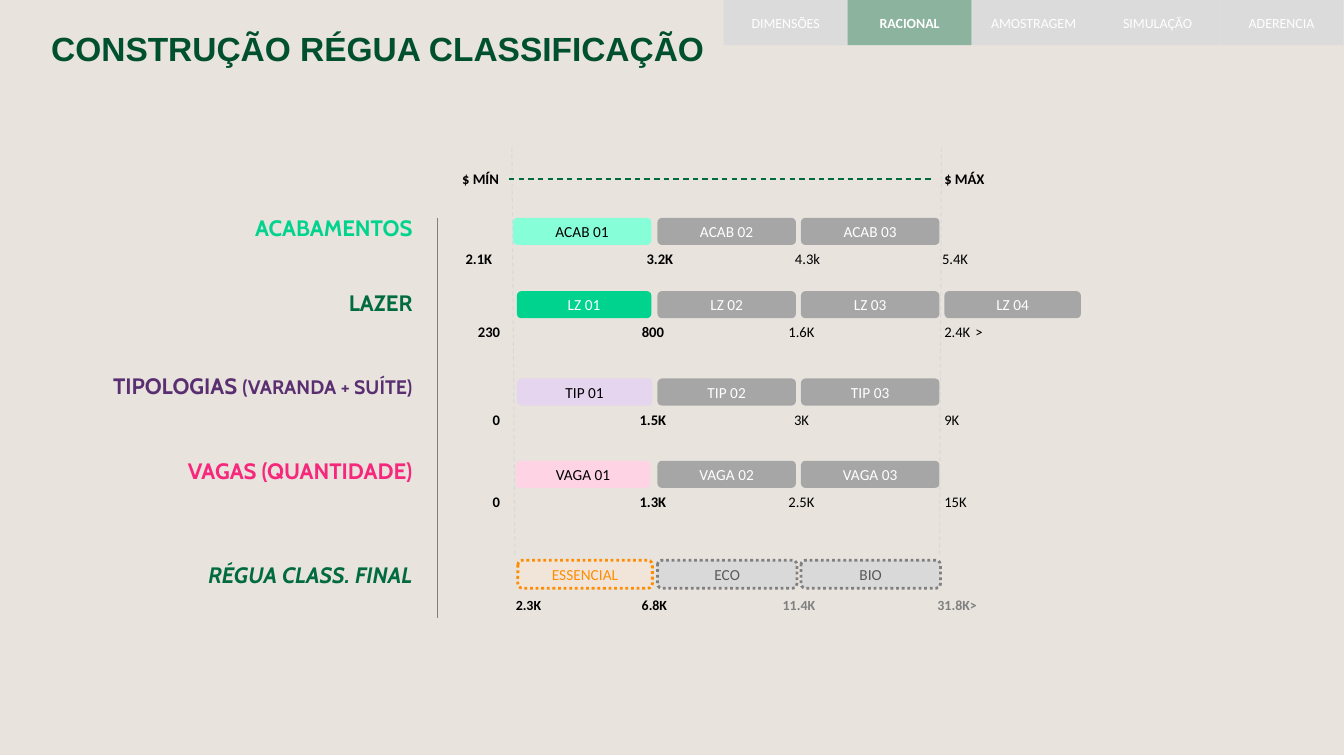
from dataclasses import dataclass
from lxml.etree import SubElement
from pptx import Presentation
from pptx.dml.color import RGBColor
from pptx.enum.dml import MSO_LINE
from pptx.enum.shapes import MSO_CONNECTOR, MSO_SHAPE
from pptx.enum.text import MSO_ANCHOR, MSO_AUTO_SIZE, PP_ALIGN
from pptx.oxml.ns import qn
from pptx.util import Inches, Pt


@dataclass(frozen=True)
class Theme:
    sand: str = "E8E3DD"
    pine: str = "00502F"
    green: str = "006B3F"
    mint: str = "00D38D"
    aqua: str = "86FFD8"
    plum: str = "592F71"
    lilac: str = "E6D5EE"
    pink: str = "F7287C"
    rose: str = "FED3E4"
    orange: str = "FF8D03"
    peach: str = "FFE8D3"
    black: str = "000000"
    white: str = "FFFFFF"
    stone: str = "A6A6A6"
    grey: str = "808080"
    dark: str = "595959"
    pale: str = "D9D9D9"
    tab: str = "DBDBDB"
    head: str = "Arial"
    label: str = "Cabin"
    body: str = "Calibri"
    title: float = 24
    large: float = 16
    medium: float = 14
    bar: float = 11
    mark: float = 10.5
    small: float = 10


T = Theme()
LEFT, MID, RIGHT = PP_ALIGN.LEFT, PP_ALIGN.CENTER, PP_ALIGN.RIGHT
TABS = ["DIMENSÕES", "RACIONAL", "AMOSTRAGEM", "SIMULAÇÃO", "ADERENCIA"]
COLS = [(6.55, 1.38), (7.98, 1.38), (9.41, 1.36)]
SPOTS = [(3.83, RIGHT), (5.88, MID), (7.36, MID), (9.31, LEFT)]
TOP_SPOTS = [(4.54, LEFT), (5.95, MID), (7.42, MID), (8.89, MID)]
END_SPOTS = [(4.43, RIGHT), (5.99, MID), (7.43, MID), (8.77, RIGHT)]

LABELS = [
    ("ACABAMENTOS", 2.09, 2.99, T.mint, {}),
    ("LAZER", 2.84, 1.38, T.green, {}),
    ("TIPOLOGIAS ", 3.67, 3.85, T.plum, {"tail": "(VARANDA + SUÍTE)"}),
    ("VAGAS (QUANTIDADE)", 4.51, 3.81, T.pink, {}),
    ("RÉGUA CLASS. FINAL", 5.55, 3.95, T.green, {"slant": True}),
]
ROWS = [
    ("ACAB", 3, 2.17, 5.11, 1.38, T.aqua, T.black, TOP_SPOTS,
     ["2.1K", "3.2K", "4.3k", "5.4K"]),
    ("LZ", 4, 2.9, 5.15, 1.34, T.mint, T.white, SPOTS,
     ["230", "800", "1.6K", "2.4K"]),
    ("TIP", 3, 3.77, 5.15, 1.35, T.lilac, T.black, SPOTS,
     ["0", "1.5K", "3K", "9K"]),
    ("VAGA", 3, 4.59, 5.14, 1.34, T.rose, T.black, SPOTS,
     ["0", "1.3K", "2.5K", "15K"]),
]
FINALS = [
    ("ESSENCIAL", 5.16, 1.34, T.peach, T.orange, T.orange, 40),
    ("ECO", 6.55, 1.39, T.pale, T.grey, T.dark, None),
    ("BIO", 7.98, 1.39, T.pale, T.grey, T.dark, None),
]


def write(frame, text, size, color=T.black, font=T.body, bold=False,
          slant=False, align=LEFT, tail="", space=None):
    para = frame.paragraphs[0]
    para.alignment = align
    if space is not None:
        para.space_before = Pt(space)
    for part, points in ((text, size), (tail, T.medium)):
        if part:
            run = para.add_run()
            run.text = part
            face = run.font
            face.size, face.name = Pt(points), font
            face.bold, face.italic = bold, slant
            face.color.rgb = RGBColor.from_string(color)


def trim(frame):
    frame.margin_left = frame.margin_right = frame.margin_bottom = 0
    frame.margin_top = Inches(0.04)


def note(slide, text, x, y, w, h=0.29, tight=False, size=T.mark, **style):
    box = slide.shapes.add_textbox(Inches(x), Inches(y), Inches(w), Inches(h))
    frame = box.text_frame
    frame.word_wrap = True
    frame.auto_size = MSO_AUTO_SIZE.SHAPE_TO_FIT_TEXT
    if tight:
        trim(frame)
    write(frame, text, size, **style)
    return box


def block(slide, kind, text, x, y, w, h, fill, edge=None, alpha=None,
          size=T.bar, **style):
    shape = slide.shapes.add_shape(kind, Inches(x), Inches(y), Inches(w), Inches(h))
    shape.shadow.inherit = False
    shape.fill.solid()
    shape.fill.fore_color.rgb = RGBColor.from_string(fill)
    if alpha:
        tone = shape.element.spPr.find(qn("a:solidFill"))[0]
        SubElement(tone, qn("a:alpha"), val=str(alpha * 1000))
    if edge:
        shape.line.color.rgb = RGBColor.from_string(edge)
        shape.line.width = Pt(2)
        shape.line.dash_style = MSO_LINE.ROUND_DOT
    else:
        shape.line.fill.background()
    shape.text_frame.vertical_anchor = MSO_ANCHOR.MIDDLE
    write(shape.text_frame, text, size, align=MID, **style)


def rule(slide, x1, y1, x2, y2, color, width=0.75, dash=None):
    line = slide.shapes.add_connector(
        MSO_CONNECTOR.STRAIGHT, Inches(x1), Inches(y1), Inches(x2), Inches(y2))
    line.line.color.rgb = RGBColor.from_string(color)
    line.line.width = Pt(width)
    if dash:
        line.line.dash_style = dash
    SubElement(line.element.spPr, qn("a:effectLst"))
    return line


def head(slide):
    title = slide.shapes.title
    title.left, title.top = Inches(0.51), Inches(0.24)
    title.width, title.height = Inches(7.78), Inches(0.45)
    frame = title.text_frame
    frame.word_wrap = True
    frame.auto_size = MSO_AUTO_SIZE.NONE
    frame.vertical_anchor = MSO_ANCHOR.TOP
    trim(frame)
    write(frame, "CONSTRUÇÃO RÉGUA CLASSIFICAÇÃO", T.title, color=T.pine,
          font=T.head, bold=True, space=3)


def menu(slide):
    step = 1.235
    for i, name in enumerate(TABS):
        live = name == "RACIONAL"
        block(slide, MSO_SHAPE.RECTANGLE, name, 7.21 + i * step, 0, step, 0.45,
              T.green if live else T.tab, alpha=40 if live else None,
              size=T.small, color=T.white, bold=live)


def scale(slide, name, count, y, x, w, fill, ink, spots, marks):
    for i, (left, wide) in enumerate([(x, w), *COLS][:count]):
        first = i == 0
        block(slide, MSO_SHAPE.ROUNDED_RECTANGLE, f"{name} {i + 1:02}",
              left, y, wide, 0.27, fill if first else T.stone,
              color=ink if first else T.white)
    for i, (mark, (left, align)) in enumerate(zip(marks, spots)):
        note(slide, mark, left, y + 0.27, 1.25, align=align, bold=i < 2)


def final(slide):
    for name, x, w, fill, edge, ink, alpha in FINALS:
        block(slide, MSO_SHAPE.ROUNDED_RECTANGLE, name, x, 5.58, w, 0.28, fill,
              edge=edge, alpha=alpha, color=ink)
    marks = ["2.3K", "6.8K", "11.4K", "31.8K>"]
    for i, (mark, (x, align)) in enumerate(zip(marks, END_SPOTS)):
        note(slide, mark, x, 5.89, 1.06, 0.28, size=T.small, align=align,
             bold=True, color=T.black if i < 2 else T.grey)


def span(slide):
    low = note(slide, "$ MÍN", 4.17, 1.64, 0.9, align=RIGHT, bold=True)
    high = note(slide, "$ MÁX", 9.31, 1.64, 0.67, bold=True)
    line = rule(slide, 5.07, 1.78, 9.31, 1.78, T.green, 1, MSO_LINE.DASH)
    line.begin_connect(low, 3)
    line.end_connect(high, 1)


def main():
    deck = Presentation()
    deck.slide_width, deck.slide_height = Inches(13.39), Inches(7.52)
    slide = deck.slides.add_slide(deck.slide_layouts[5])
    slide.background.fill.solid()
    slide.background.fill.fore_color.rgb = RGBColor.from_string(T.sand)
    head(slide)
    for text, y, w, color, style in LABELS:
        note(slide, text, 4.11 - w, y, w, 0.31, tight=True, size=T.large,
             color=color, font=T.label, bold=True, align=RIGHT, space=3, **style)
    for row in ROWS:
        scale(slide, *row)
    note(slide, ">", 9.62, 3.17, 1.25)
    for top, foot in ((5.1, 5.13), (9.38, 9.36)):
        rule(slide, top, 1.47, foot, 5.54, T.pale, dash=MSO_LINE.DASH)
    final(slide)
    rule(slide, 4.36, 2.17, 4.36, 6.16, T.grey)
    span(slide)
    menu(slide)
    deck.save("out.pptx")


if __name__ == "__main__":
    main()
